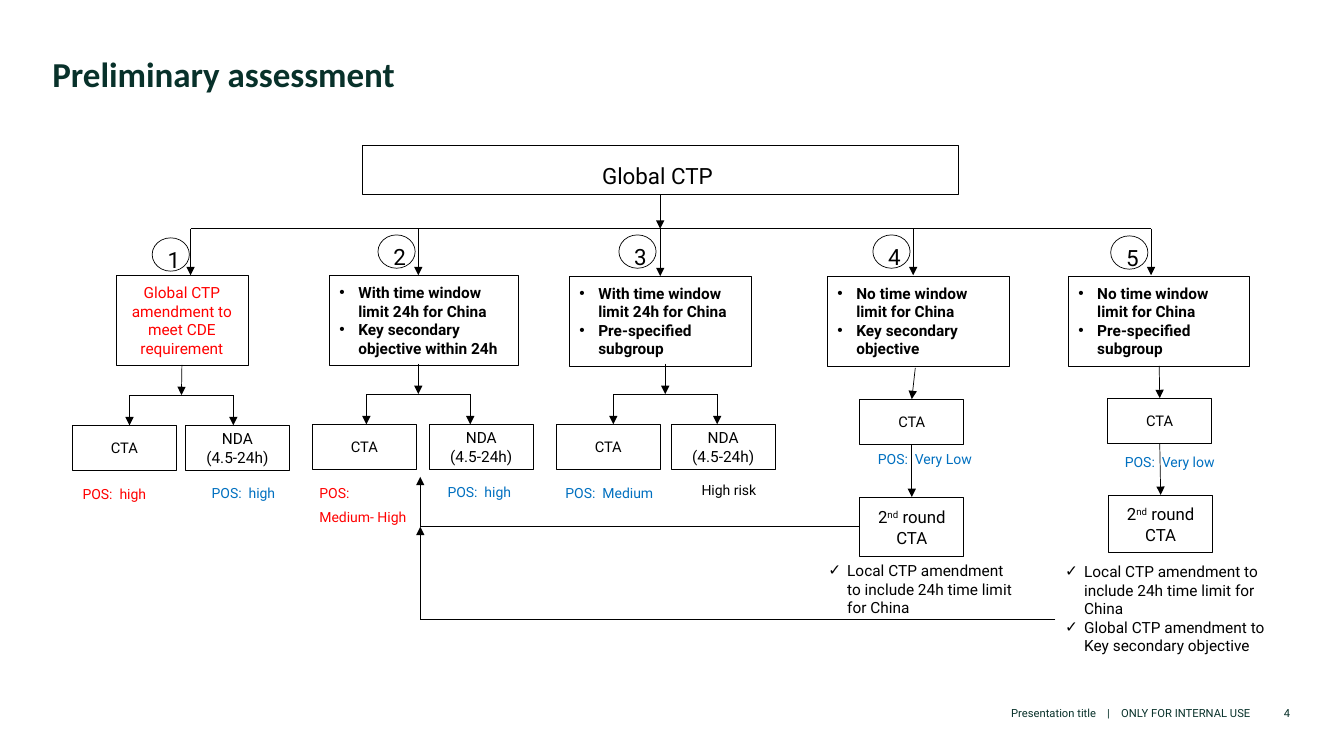
from dataclasses import dataclass
from typing import NamedTuple, Optional, Union

from lxml.etree import SubElement
from pptx import Presentation
from pptx.dml.color import RGBColor
from pptx.enum.shapes import MSO_CONNECTOR, MSO_SHAPE
from pptx.enum.text import MSO_ANCHOR, MSO_AUTO_SIZE, PP_ALIGN
from pptx.oxml.ns import qn
from pptx.util import Pt

BLACK = RGBColor(0x00, 0x00, 0x00)
WHITE = RGBColor(0xFF, 0xFF, 0xFF)
RED = RGBColor(0xFF, 0x00, 0x00)
BLUE = RGBColor(0x00, 0x70, 0xC0)
GREEN = RGBColor(0x08, 0x31, 0x2A)

BUS_Y = 163.4
DROP_END = 196.6
OPTION_H = 64.1
STEP_W, STEP_H = 74.2, 32.4
FORK_STEP = 21.6
FORK_HALF = 37.1
RETURN_X = 300.2


class Box(NamedTuple):
    x: float
    y: float
    w: float
    h: float


class Point(NamedTuple):
    x: float
    y: float


class Joint(NamedTuple):
    shape: object
    site: int


End = Union[Point, Joint]


@dataclass
class Style:
    size: float = 11
    color: RGBColor = BLACK
    bold: bool = False
    font: str = "Roboto"
    align: PP_ALIGN = PP_ALIGN.LEFT
    spacing: object = None
    bullet: str = ""


@dataclass
class Option:
    drop_x: float
    badge: Point
    box: Box
    text: str
    style: Style


@dataclass
class Fork:
    x: float
    y: float
    cta_x: float
    nda_x: float
    option: Optional[int] = None


@dataclass
class Label:
    text: str
    box: Box
    color: RGBColor
    spacing: Optional[float] = 1.4


CENTER = PP_ALIGN.CENTER
HEADING = Style(16, align=CENTER, spacing=1.4)
CTA = Style(10.5, align=CENTER)
NDA = Style(11, align=CENTER)
ROUND = Style(12, align=CENTER, spacing=Pt(15))
POINTS = Style(11, bold=True, bullet="•")
CHECKS = Style(11, bullet="✓")

OPTIONS = [
    Option(136.1, Point(108.7, 169.9), Box(82.8, 196.6, 94.3, OPTION_H),
           "Global CTP amendment to meet CDE requirement", Style(11, RED, align=CENTER)),
    Option(298.8, Point(270, 167.8), Box(235.4, 196.6, 134.6, OPTION_H),
           "With time window limit 24h for China\nKey secondary objective within 24h", POINTS),
    Option(471.6, Point(442.1, 167.8), Box(406.8, 197.3, 129.6, OPTION_H),
           "With time window limit 24h for China\nPre-specified subgroup", POINTS),
    Option(652.3, Point(623.5, 167.8), Box(591.1, 197.3, 129.6, OPTION_H),
           "No time window limit for China\nKey secondary objective", POINTS),
    Option(822.2, Point(793.4, 168.5), Box(763.2, 197.3, 129.6, OPTION_H),
           "No time window limit for China\nPre-specified subgroup", POINTS),
]
FORKS = [
    Fork(129.6, 282.2, 51.8, 132.5, option=0),
    Fork(298.8, 281.5, 223.2, 306.7),
    Fork(475.2, 281.5, 397.4, 479.5),
]
LABELS = [
    Label("POS:  high", Box(59, 342, 47.5, 15.8), RED),
    Label("POS:  high", Box(151.2, 341.3, 47.5, 15.8), BLUE),
    Label("POS:\nMedium- High", Box(228.2, 341.3, 67, 49.7), RED),
    Label("POS:  high", Box(319.7, 340.6, 47.5, 15.8), BLUE),
    Label("POS:  Medium", Box(403.9, 341.3, 66.2, 32.4), BLUE),
    Label("High risk", Box(501.1, 344.2, 40.3, 12.2), BLACK, None),
    Label("POS:  Very Low", Box(627.1, 316.8, 70.6, 15.8), BLUE),
    Label("POS:  Very low", Box(803.5, 319, 69.8, 15.8), BLUE),
]

prs = Presentation()
prs.slide_width, prs.slide_height = Pt(960), Pt(540)
s = prs.slides.add_slide(prs.slide_layouts[6])


def format_text(tf, style: Style) -> None:
    for p in tf.paragraphs:
        p.alignment = style.align
        if style.spacing:
            p.line_spacing = style.spacing
        if style.bullet:
            pPr = p._p.get_or_add_pPr()
            pPr.set("marL", str(Pt(13.5)))
            pPr.set("indent", str(-Pt(13.5)))
            SubElement(pPr, qn("a:buFont")).set("typeface", "Arial")
            SubElement(pPr, qn("a:buChar")).set("char", style.bullet)
        for r in p.runs:
            r.font.name, r.font.size = style.font, Pt(style.size)
            r.font.bold = style.bold
            r.font.color.rgb = style.color


def add_node(box: Box, text: str, style: Style, kind: MSO_SHAPE = MSO_SHAPE.RECTANGLE):
    sp = s.shapes.add_shape(kind, *map(Pt, box))
    sp.shadow.inherit = False
    sp.fill.solid()
    sp.fill.fore_color.rgb = WHITE
    sp.line.color.rgb = BLACK
    sp.line.width = Pt(0.5)
    tf = sp.text_frame
    tf.vertical_anchor = MSO_ANCHOR.MIDDLE
    tf.text = text
    format_text(tf, style)
    return sp


def add_text(box: Box, text: str, style: Style, inset: bool = False, wrap: bool = True,
             grow: bool = False, anchor: MSO_ANCHOR = MSO_ANCHOR.TOP):
    sp = s.shapes.add_textbox(*map(Pt, box))
    tf = sp.text_frame
    if not inset:
        tf.margin_left = tf.margin_right = tf.margin_top = tf.margin_bottom = 0
    tf.word_wrap = wrap
    tf.auto_size = MSO_AUTO_SIZE.SHAPE_TO_FIT_TEXT if grow else MSO_AUTO_SIZE.NONE
    tf.vertical_anchor = anchor
    tf.text = text
    format_text(tf, style)
    return sp


def locate(end: End) -> Point:
    if isinstance(end, Point):
        return end
    sp = end.shape
    fx, fy = [(0.5, 0), (0, 0.5), (0.5, 1), (1, 0.5)][end.site]
    return Point((sp.left + sp.width * fx) / Pt(1), (sp.top + sp.height * fy) / Pt(1))


def add_line(start: End, end: End, arrow: bool = True) -> None:
    c = s.shapes.add_connector(MSO_CONNECTOR.STRAIGHT, *map(Pt, locate(start) + locate(end)))
    if isinstance(start, Joint):
        c.begin_connect(start.shape, start.site)
    if isinstance(end, Joint):
        c.end_connect(end.shape, end.site)
    c.line.color.rgb = BLACK
    c.line.width = Pt(0.5)
    if arrow:
        SubElement(c.line._get_or_add_ln(), qn("a:tailEnd")).set("type", "triangle")
    SubElement(c._element.spPr, qn("a:effectLst"))


def add_second_round(box: Box):
    sp = add_node(box, "2", ROUND)
    p = sp.text_frame.paragraphs[0]
    for text in ("nd", " round CTA"):
        p.add_run().text = text
    format_text(sp.text_frame, ROUND)
    p.runs[1]._r.get_or_add_rPr().set("baseline", "30000")
    return sp


# Title and footer
add_text(Box(37.4, 37.4, 884.2, 56.9), "Preliminary assessment",
         Style(25, GREEN, True, "Calibri"))
footer = Style(8, GREEN, align=PP_ALIGN.RIGHT)
note = add_text(Box(496.8, 491.8, 396.7, 22.3),
                "Presentation title    |    ONLY FOR INTERNAL USE", footer, anchor=MSO_ANCHOR.BOTTOM)
note.text_frame.paragraphs[0].space_after = Pt(3)
add_text(Box(899.3, 491.8, 22.3, 22.3), "4", footer, anchor=MSO_ANCHOR.BOTTOM)

# Global CTP and its five options
root = add_node(Box(258.5, 103.7, 426.2, 35.3), "Global CTP ", HEADING)
add_line(Joint(root, 2), Point(471.6, BUS_Y))
add_line(Point(OPTIONS[0].drop_x, BUS_Y), Point(OPTIONS[-1].drop_x, BUS_Y), arrow=False)
options = []
for number, option in enumerate(OPTIONS, 1):
    sp = add_node(option.box, option.text, option.style)
    options.append(sp)
    centred = abs(option.box.x + option.box.w / 2 - option.drop_x) < 0.5
    add_line(Point(option.drop_x, BUS_Y),
             Joint(sp, 0) if centred else Point(option.drop_x, DROP_END))
    add_node(Box(*option.badge, 26.6, 23.8), str(number), HEADING, MSO_SHAPE.OVAL)

# Options 1 to 3 split into CTA and NDA
for fork in FORKS:
    step_y = fork.y + FORK_STEP
    left, right = fork.x - FORK_HALF, fork.x + FORK_HALF
    start = Point(fork.x, fork.y - FORK_STEP)
    if fork.option is not None:
        start = Joint(options[fork.option], 2)
    add_line(start, Point(fork.x, fork.y))
    add_line(Point(left, fork.y), Point(right, fork.y), arrow=False)
    for x in (left, right):
        add_line(Point(x, fork.y), Point(x, step_y))
    add_node(Box(fork.cta_x, step_y, STEP_W, STEP_H), "CTA", CTA)
    add_node(Box(fork.nda_x, step_y, STEP_W, STEP_H), "NDA\n(4.5-24h)", NDA)

# Options 4 and 5 go through a second CTA round
cta_4 = add_node(Box(614.2, 285.1, STEP_W, STEP_H), "CTA", CTA)
cta_5 = add_node(Box(791.3, 284.4, STEP_W, STEP_H), "CTA", CTA)
round_4 = add_second_round(Box(614.2, 355, STEP_W, 42.5))
round_5 = add_second_round(Box(792, 353.5, STEP_W, 41))
add_line(Point(653.8, 262.8), Joint(cta_4, 0))
add_line(Joint(options[4], 2), Joint(cta_5, 0))
add_line(Joint(cta_4, 2), Joint(round_4, 0))
add_line(Joint(cta_5, 2), Joint(round_5, 0))
add_text(Box(584.6, 397.4, 146.9, 47.5),
         "Local CTP amendment to include 24h time limit for China", CHECKS, inset=True, grow=True)
add_text(Box(753.8, 398.2, 169.2, 87.1),
         "Local CTP amendment to include 24h time limit for China\n"
         "Global CTP amendment to Key secondary objective", CHECKS, inset=True, grow=True)

# Probability labels
for label in LABELS:
    add_text(label.box, label.text, Style(10, label.color, spacing=label.spacing),
             wrap=False, grow=True)

# Return paths to option 2
merge = Point(RETURN_X, locate(Joint(round_4, 1)).y)
corner = Point(RETURN_X, 442.1)
add_line(Joint(round_4, 1), merge, arrow=False)
add_line(merge, Point(RETURN_X, 340.6))
add_line(Point(753.8, corner.y), corner, arrow=False)
add_line(corner, merge)

prs.save("out.pptx")
